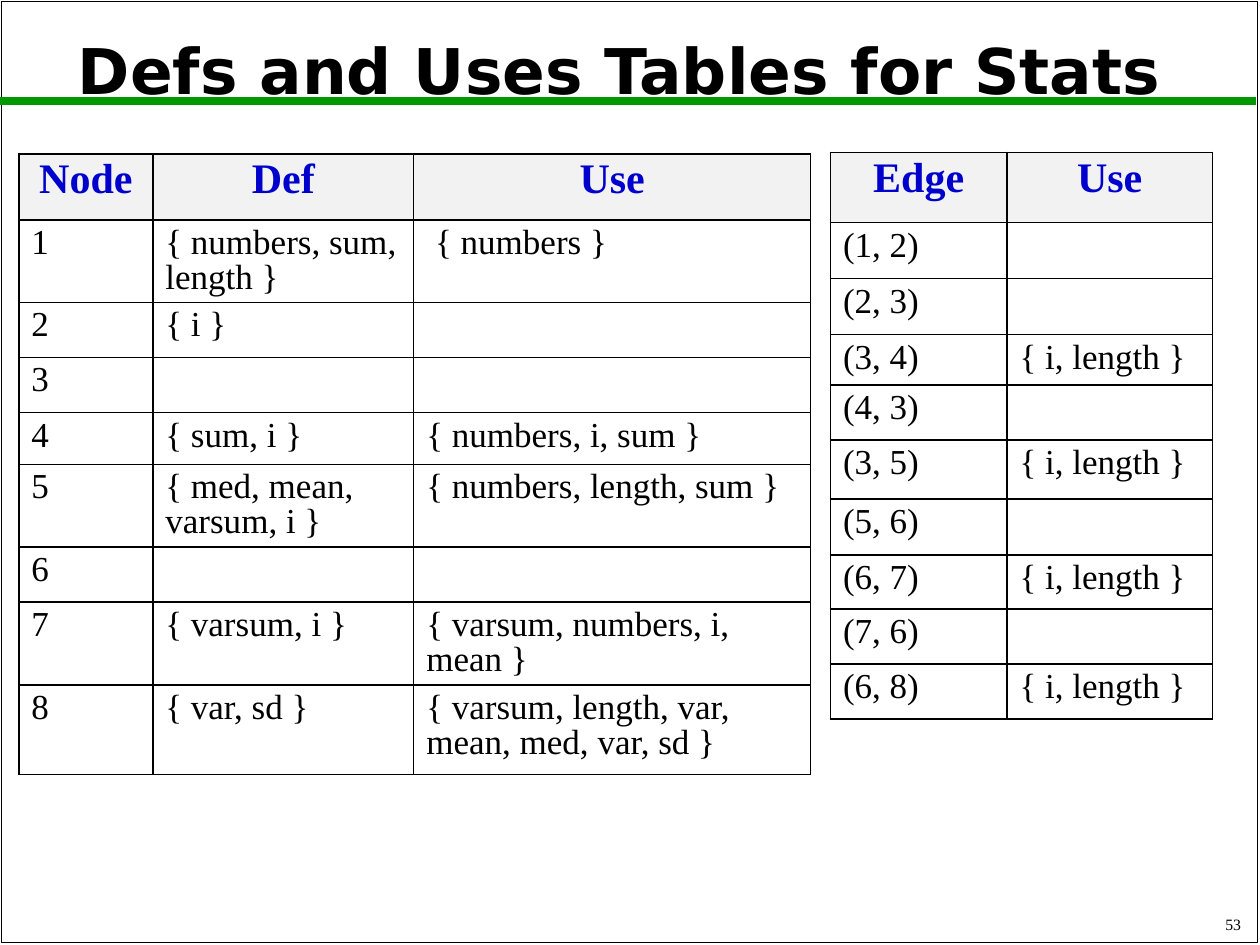
from dataclasses import dataclass

from lxml.etree import SubElement
from pptx import Presentation
from pptx.dml.color import RGBColor
from pptx.enum.shapes import MSO_CONNECTOR as Connector, MSO_SHAPE as Preset
from pptx.enum.text import MSO_ANCHOR as Anchor, PP_ALIGN as Align
from pptx.oxml.ns import qn
from pptx.util import Cm, Pt

COLORS = {"ink": "000000", "rule": "009900", "heading": "0000CC", "header": "F2F2F2"}
SERIF = "Times New Roman"
I_LENGTH = "{ i, length }"


@dataclass
class Grid:
    left: float
    top: float
    widths: list[float]
    heights: list[float]
    rows: list[tuple[str, ...]]


NODES = Grid(
    0.38, 3.1, [2.7, 5.26, 8.0],
    [1.33, 1.67, 1.11, 1.11, 1.04, 1.67, 1.11, 1.67, 1.8],
    [
        ("Node", "Def", "Use"),
        ("1", "{ numbers, sum, length }", " { numbers }"),
        ("2", "{ i }", ""),
        ("3", "", ""),
        ("4", "{ sum, i }", "{ numbers, i, sum }"),
        ("5", "{ med, mean, varsum, i }", "{ numbers, length, sum }"),
        ("6", "", ""),
        ("7", "{ varsum, i }", "{ varsum, numbers, i, mean }"),
        ("8", "{ var, sd }", "{ varsum, length, var, mean, med, var, sd }"),
    ],
)
EDGES = Grid(
    16.74, 3.07, [3.56, 4.14],
    [1.42, 1.13, 1.13, 1.01, 1.11, 1.19, 1.13, 1.09, 1.11, 1.11],
    [
        ("Edge", "Use"),
        ("(1, 2)", ""),
        ("(2, 3)", ""),
        ("(3, 4)", I_LENGTH),
        ("(4, 3)", ""),
        ("(3, 5)", I_LENGTH),
        ("(5, 6)", ""),
        ("(6, 7)", I_LENGTH),
        ("(7, 6)", ""),
        ("(6, 8)", I_LENGTH),
    ],
)


def rgb(name: str) -> RGBColor:
    return RGBColor.from_string(COLORS[name])


def style_text(para, font: str, size: float, color: str, bold: bool = False) -> None:
    for span in para.runs:
        span.font.name = font
        span.font.size = Pt(size)
        span.font.bold = bold
        span.font.color.rgb = rgb(color)


def add_borders(cell) -> None:
    props = cell._tc.get_or_add_tcPr()
    for index, side in enumerate(("lnL", "lnR", "lnT", "lnB")):
        line = props.makeelement(qn(f"a:{side}"), {"w": str(Pt(1))})
        fill = SubElement(line, qn("a:solidFill"))
        SubElement(fill, qn("a:srgbClr"), val=COLORS["ink"])
        props.insert(index, line)  # borders come before the fill


def fill_cell(cell, text: str, is_header: bool) -> None:
    if is_header:
        cell.fill.solid()
        cell.fill.fore_color.rgb = rgb("header")
    else:
        cell.fill.background()
    add_borders(cell)
    if not text:
        return
    cell.text_frame.text = text
    para = cell.text_frame.paragraphs[0]
    para.line_spacing = 0.9
    before = SubElement(para._p.get_or_add_pPr(), qn("a:spcBef"))
    SubElement(before, qn("a:spcPct"), val="30000")
    if is_header:
        para.alignment = Align.CENTER
        style_text(para, SERIF, 24, "heading", bold=True)
    else:
        style_text(para, SERIF, 20, "ink")


def draw_grid(page, grid: Grid) -> None:
    table = page.shapes.add_table(
        len(grid.rows), len(grid.widths), Cm(grid.left), Cm(grid.top),
        Cm(sum(grid.widths)), Cm(sum(grid.heights)),
    ).table
    table.horz_banding = False
    for column, width in zip(table.columns, grid.widths):
        column.width = Cm(width)
    for r, (values, height) in enumerate(zip(grid.rows, grid.heights)):
        table.rows[r].height = Cm(height)
        for c, text in enumerate(values):
            fill_cell(table.cell(r, c), text, is_header=r == 0)


def draw_frame(page) -> None:
    # Page outline
    box = page.shapes.add_shape(Preset.RECTANGLE, Cm(0.03), Cm(0.03), Cm(25.32), Cm(18.97))
    box.shadow.inherit = False
    box.fill.background()
    box.line.color.rgb = rgb("ink")
    box.line.width = Pt(1)
    # Green rule under the title
    rule = page.shapes.add_connector(Connector.STRAIGHT, 0, Cm(2.03), Cm(25.32), Cm(2.03))
    rule.line.color.rgb = rgb("rule")
    rule.line.width = Pt(4.5)
    SubElement(rule._element.spPr, qn("a:effectLst"))
    # Page number
    box = page.shapes.add_textbox(Cm(19.99), Cm(18.21), Cm(5.28), Cm(0.74))
    box.text_frame.word_wrap = True
    box.text_frame.vertical_anchor = Anchor.BOTTOM
    box.text_frame.text = "53"
    para = box.text_frame.paragraphs[0]
    para.alignment = Align.RIGHT
    style_text(para, SERIF, 9, "ink")


def draw_title(page) -> None:
    title = page.shapes.title
    title.left, title.top, title.width, title.height = Cm(0.13), Cm(0.28), Cm(25.15), Cm(2.41)
    title.text_frame.text = "Defs and Uses Tables for Stats "
    title.text_frame.vertical_anchor = Anchor.MIDDLE
    para = title.text_frame.paragraphs[0]
    para.alignment = Align.CENTER
    para.line_spacing = 0.9
    style_text(para, "DejaVu Sans", 36, "ink", bold=True)
    # Keep the title in front of the frame and rule
    page.shapes._spTree.append(title._element)


def main() -> None:
    deck = Presentation()
    deck.slide_width, deck.slide_height = Cm(25.4), Cm(19.05)
    page = deck.slides.add_slide(deck.slide_layouts[5])
    draw_frame(page)
    draw_title(page)
    for grid in (NODES, EDGES):
        draw_grid(page, grid)
    deck.save("out.pptx")


if __name__ == "__main__":
    main()
